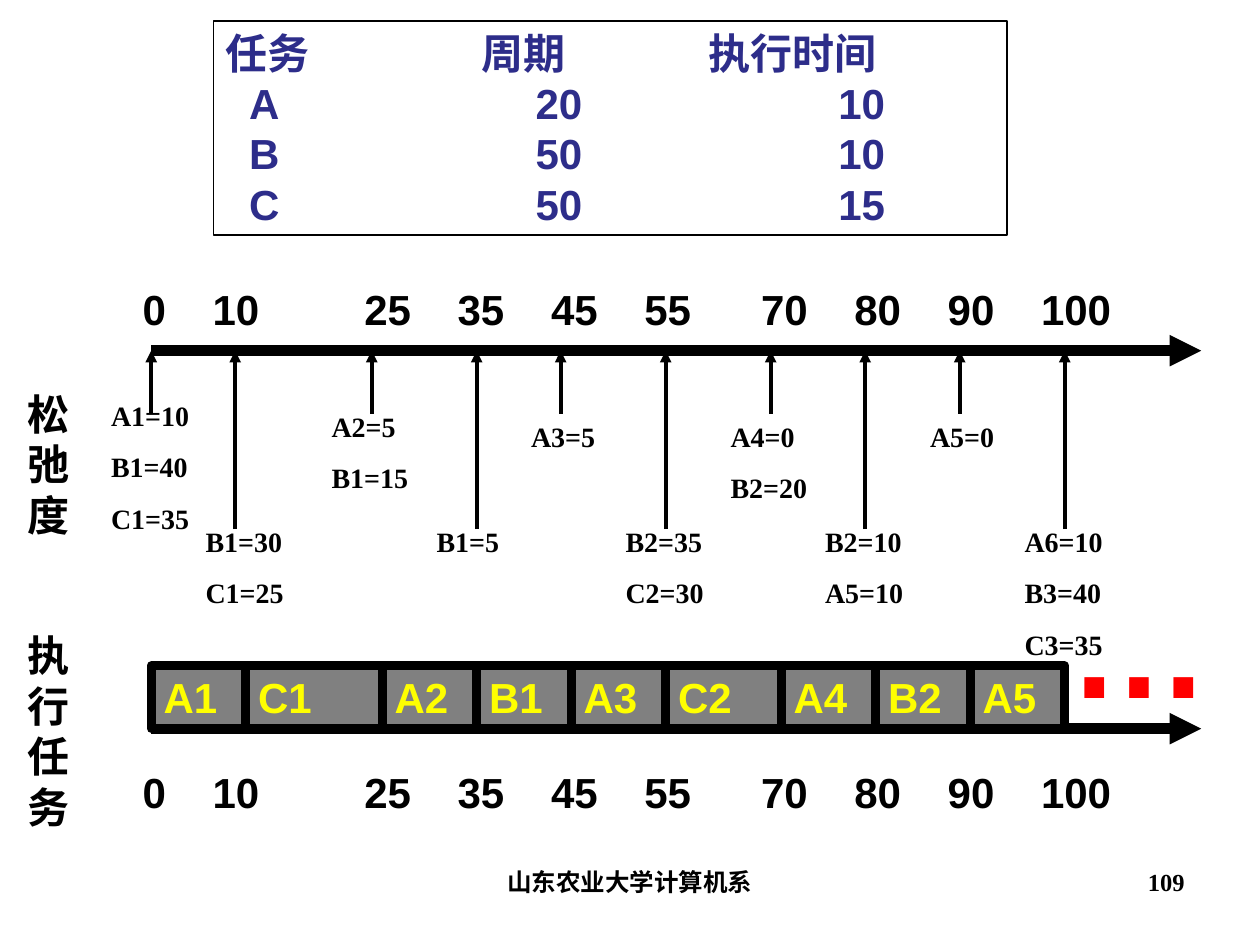
from dataclasses import dataclass

from lxml import etree
from pptx import Presentation
from pptx.dml.color import RGBColor as Rgb
from pptx.enum import shapes as sh, text as tx
from pptx.oxml.ns import qn
from pptx.util import Pt


@dataclass
class Theme:
    ink: str = "000000"
    paper: str = "FFFFFF"
    navy: str = "2D2D8A"
    gray: str = "808080"
    gold: str = "FFFF00"
    red: str = "FF0000"
    sans: str = "Arial"
    serif: str = "Times New Roman"
    head: int = 24
    note: int = 16
    foot: int = 14
    dots: int = 80


class Board:
    """Holds the theme and the slide being drawn; lengths in points."""

    def __init__(self, slide, theme):
        self.slide, self.theme = slide, theme

    def fill_text(self, shape, lines, size, color, face, gap=0, align="LEFT", stops=()):
        """Fill a shape with lines; stops has one list of tab stops per line."""
        frame = shape.text_frame
        frame.word_wrap = True
        frame.vertical_anchor = tx.MSO_ANCHOR.TOP
        for i, line in enumerate(lines):
            para = frame.paragraphs[0] if i == 0 else frame.add_paragraph()
            para.text = line
            if stops:
                tabs = etree.SubElement(para._p.get_or_add_pPr(), qn("a:tabLst"))
                for pos in stops[i]:
                    etree.SubElement(tabs, qn("a:tab"), pos=str(Pt(pos)), algn="l")
            if i and gap:
                para.space_before = Pt(gap)
            para.alignment = tx.PP_ALIGN[align]
            font = para.font
            font.name, font.size, font.bold = face, Pt(size), True
            font.color.rgb = Rgb.from_string(color)

    def label(self, box, lines, size, color=None, face=None, **opts):
        shape = self.slide.shapes.add_textbox(*map(Pt, box))
        self.fill_text(shape, lines, size, color or self.theme.ink,
                       face or self.theme.sans, **opts)

    def block(self, box, lines, fill, color, width, **opts):
        shape = self.slide.shapes.add_shape(sh.MSO_SHAPE.RECTANGLE, *map(Pt, box))
        shape.shadow.inherit = False
        shape.fill.solid()
        shape.fill.fore_color.rgb = Rgb.from_string(fill)
        shape.line.color.rgb = Rgb.from_string(self.theme.ink)
        shape.line.width = Pt(width)
        self.fill_text(shape, lines, self.theme.head, color, self.theme.sans, **opts)

    def arrow(self, start, end, width):
        line = self.slide.shapes.add_connector(
            sh.MSO_CONNECTOR.STRAIGHT, *map(Pt, start + end))
        line.line.color.rgb = Rgb.from_string(self.theme.ink)
        line.line.width = Pt(width)
        shape = line._element.spPr
        etree.SubElement(shape.find(qn("a:ln")), qn("a:tailEnd"), type="triangle")
        etree.SubElement(shape, qn("a:effectLst"))


LEFT, RIGHT = 86.4, 686.4      # ends of both time axes
TOP, BASE = 200.4, 416.4       # heights of the two axes
SHORT, LONG = 236.4, 302.4     # feet of the short and long arrows
LOW = 296.4                    # top of the notes under long arrows

TIMES = "0 10 25 35 45 55 70 80 90 100".split()
STOPS = [40, 126.7, 180, 233.4, 286.7, 353.4, 406.7, 460.1, 513.4]

# Arrow x, arrow foot, note offset, note top, slack values
SLACK = [
    (86.4, SHORT, 30, 224.4, "A1=10 B1=40 C1=35"),
    (134.4, LONG, 24, LOW, "B1=30 C1=25"),
    (212.4, SHORT, 30, 230.4, "A2=5 B1=15"),
    (272.4, LONG, 30, LOW, "B1=5"),
    (320.4, SHORT, 24, 236.4, "A3=5"),
    (380.4, LONG, 30, LOW, "B2=35 C2=30"),
    (440.4, SHORT, 30, 236.4, "A4=0 B2=20"),
    (494.4, LONG, 30, LOW, "B2=10 A5=10"),
    (548.4, SHORT, 24, 236.4, "A5=0"),
    (608.4, LONG, 30, LOW, "A6=10 B3=40 C3=35"),
]

TASKS = [("A1", 54), ("C1", 78), ("A2", 54), ("B1", 54), ("A3", 54),
         ("C2", 66), ("A4", 54), ("B2", 54), ("A5", 54)]

ROWS = ["任务\t周期\t执行时间", "\tA\t20\t10", "\tB\t50\t10", "\tC\t50\t15"]
HEADS, CELLS = [146, 276], [13.3, 177, 350]


def main():
    deck = Presentation()
    deck.slide_width, deck.slide_height = Pt(720), Pt(540)
    theme = Theme()
    board = Board(deck.slides.add_slide(deck.slide_layouts[6]), theme)

    # Footer and page number
    board.label((246, 492, 228, 37.5), ["山东农业大学计算机系"], theme.foot,
                face=theme.serif, align="CENTER")
    board.label((516, 492, 168, 37.5), ["109"], theme.foot,
                face=theme.serif, align="RIGHT")

    # Time axes with their numbers
    for axis, top in ((TOP, 158.4), (BASE, 434.4)):
        board.arrow((LEFT, axis), (RIGHT, axis), 6)
        board.label((74.4, top, 612, 36), ["\t".join(TIMES)], theme.head,
                    stops=[STOPS])

    # Slack values at each decision point
    for x, foot, shift, top, notes in SLACK:
        board.arrow((x, foot), (x, TOP), 2.25)
        board.label((x - shift, top, 60, 85), notes.split(), theme.note,
                    face=theme.serif, gap=10)

    # Executed tasks, end to end
    x = LEFT
    for name, width in TASKS:
        board.block((x, 380.4, width, 36), [name], theme.gray, theme.gold, 5)
        x += width
    board.label((604, 315.4, 93.6, 103.7), ["…"], theme.dots, theme.red)

    # Row names, one character a line
    board.label((8.4, 218.4, 54, 93.6), ["松弛度"], theme.head)
    board.label((8.4, 356.4, 54, 122.4), ["执行任务"], theme.head)

    # Task parameters
    board.block((122, 12, 453.6, 122.4), ROWS, theme.paper, theme.navy, 1,
                stops=[HEADS] + [CELLS] * 3)

    deck.save("out.pptx")


if __name__ == "__main__":
    main()
